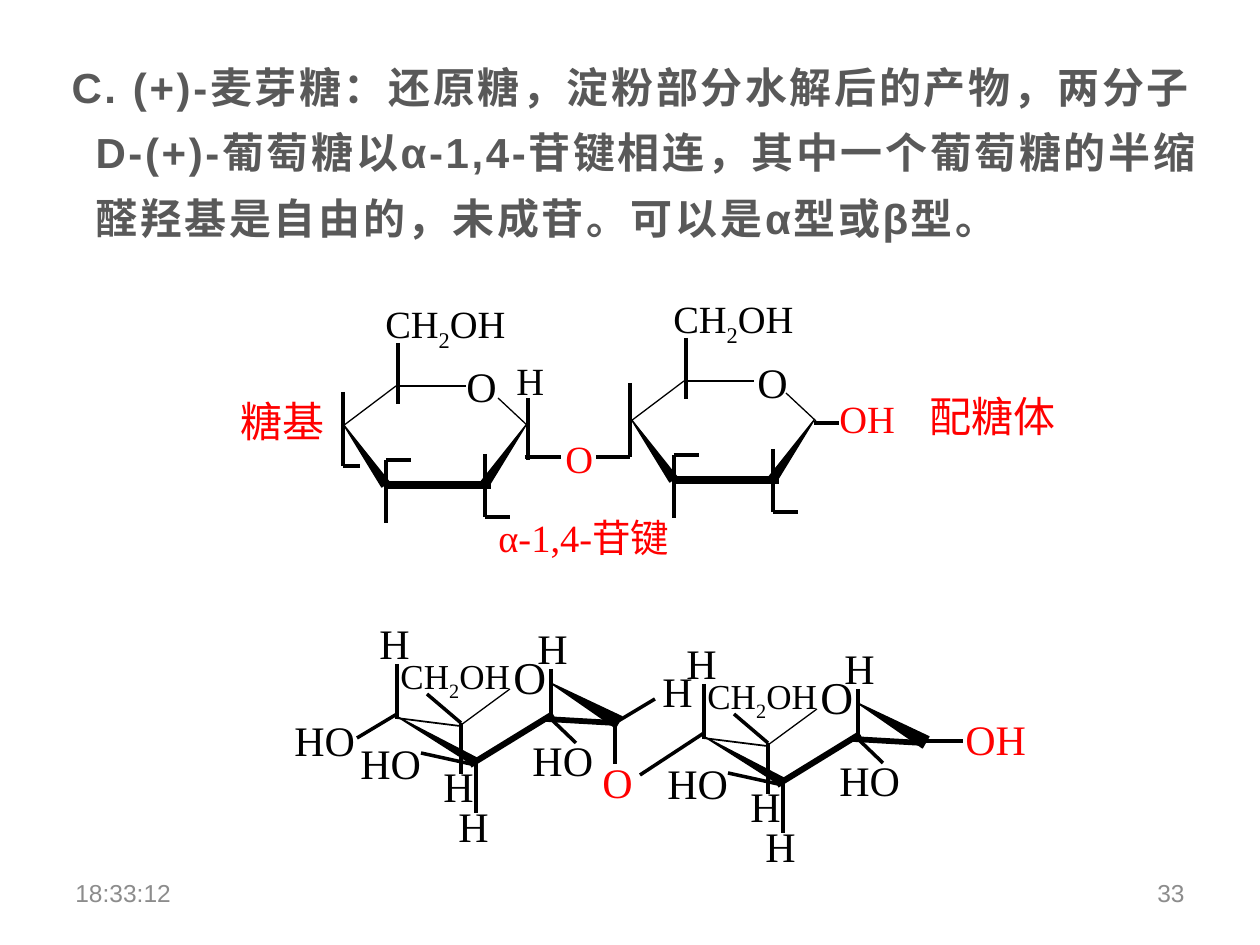
from dataclasses import dataclass

from lxml.etree import SubElement
from pptx import Presentation
from pptx.dml.color import RGBColor
from pptx.enum.shapes import MSO_CONNECTOR, MSO_SHAPE
from pptx.enum.text import MSO_ANCHOR, MSO_AUTO_SIZE, PP_ALIGN
from pptx.oxml.ns import qn
from pptx.util import Emu, Pt


@dataclass(frozen=True)
class Theme:
    """Colours, fonts and sizes of the slide."""
    ink: str = "000000"
    accent: str = "FF0000"
    body: str = "595959"
    footer: str = "8C8C8C"
    sans: str = "Arial"
    serif: str = "Times New Roman"
    footer_size: int = 14
    small: int = 20
    medium: int = 22
    large: int = 24
    ring: int = 26
    hairline: float = 0.75
    thin: float = 1
    bond: float = 2


THEME = Theme()


def px(length):
    """Turn pixels at 126 to the inch into EMU."""
    return Emu(round(length * 914400 / 126))


def write(frame, text, *, size, color, font, bold=False, align=PP_ALIGN.LEFT,
          spacing=1.0, after=0, tracking=0):
    """Write one paragraph, with subscripts between underscores."""
    paragraph = frame.paragraphs[0]
    paragraph.alignment = align
    paragraph.line_spacing = spacing
    paragraph.space_before = Pt(0)
    paragraph.space_after = Pt(after)
    for index, piece in enumerate(text.split("_")):
        run = paragraph.add_run()
        run.text = piece
        run.font.size = Pt(size)
        run.font.name = font
        run.font.bold = bold
        run.font.color.rgb = RGBColor.from_string(color)
        properties = run._r.get_or_add_rPr()
        if index % 2:
            properties.set("baseline", "-25000")
        if tracking:
            properties.set("spc", str(tracking))
    return paragraph


class Canvas:
    """The theme and the current slide."""

    def __init__(self, slide, theme):
        """Keep the slide and its theme."""
        self.slide = slide
        self.theme = theme

    def body(self, text, left, top, width, height, indent):
        """Fill the body placeholder with a hanging paragraph."""
        self.slide.shapes.title._element.getparent().remove(self.slide.shapes.title._element)
        shape = self.slide.placeholders[1]
        shape.left, shape.top, shape.width, shape.height = map(px, (left, top, width, height))
        frame = shape.text_frame
        frame.word_wrap = True
        frame.auto_size = MSO_AUTO_SIZE.NONE
        paragraph = write(frame, text, size=self.theme.large, color=self.theme.body,
                          font=self.theme.sans, bold=True, spacing=1.3, after=10, tracking=150)
        properties = paragraph._p.get_or_add_pPr()
        properties.set("marL", str(px(indent)))
        properties.set("indent", str(-px(indent)))
        SubElement(properties, qn("a:buNone"))

    def text(self, left, top, width, height, text, **style):
        """Add a wrapping text box."""
        box = self.slide.shapes.add_textbox(px(left), px(top), px(width), px(height))
        box.text_frame.word_wrap = True
        write(box.text_frame, text, **style)
        return box

    def label(self, left, top, width, text, size=THEME.large, color=THEME.ink):
        """Add an atom, group or name label."""
        box = self.text(left, top, width, size * 2.2, text, size=size, color=color,
                        font=self.theme.serif, spacing=0.8)
        box.text_frame.auto_size = MSO_AUTO_SIZE.SHAPE_TO_FIT_TEXT

    def footer(self, left, text, align):
        """Add a footer text."""
        box = self.text(left, 871, 280, 44, text, size=self.theme.footer_size,
                        color=self.theme.footer, font=self.theme.sans, align=align)
        box.text_frame.vertical_anchor = MSO_ANCHOR.MIDDLE

    def bond(self, x1, y1, x2, y2, weight=THEME.bond):
        """Draw a straight bond."""
        line = self.slide.shapes.add_connector(MSO_CONNECTOR.STRAIGHT, *map(px, (x1, y1, x2, y2)))
        line.line.color.rgb = RGBColor.from_string(self.theme.ink)
        line.line.width = Pt(weight)
        SubElement(line._element.spPr, qn("a:effectLst"))

    def wedge(self, left, top, width, height, rotation):
        """Draw a tapered bond."""
        shape = self.slide.shapes.add_shape(MSO_SHAPE.ISOSCELES_TRIANGLE,
                                            *map(px, (left, top, width, height)))
        shape.rotation = rotation
        shape.shadow.inherit = False
        shape.fill.solid()
        shape.fill.fore_color.rgb = RGBColor.from_string(self.theme.ink)
        shape.line.color.rgb = RGBColor.from_string(self.theme.ink)
        shape.line.width = Pt(self.theme.hairline)

    def unit(self, dx, dy, wedges, bonds, labels):
        """Draw the parts of one sugar ring, moved by dx and dy."""
        for left, top, *rest in wedges:
            self.wedge(left + dx, top + dy, *rest)
        for x1, y1, x2, y2, *weight in bonds:
            self.bond(x1 + dx, y1 + dy, x2 + dx, y2 + dy, *weight)
        for left, top, *rest in labels:
            self.label(left + dx, top + dy, *rest)


HAWORTH_RING = dict(
    wedges=[(360, 418, 9, 73, 325), (501, 418, 9, 73, 35)],
    bonds=[(343, 426, 396, 386, THEME.hairline), (528, 426, 498, 398, THEME.hairline),
           (396, 386, 466, 386, THEME.thin), (386, 485, 491, 485, 4.5),
           (398, 343, 398, 404), (386, 460, 386, 523), (386, 460, 411, 460),
           (485, 454, 485, 517), (485, 517, 510, 517)],
    labels=[(373, 299, 149, "CH_2_OH", THEME.medium)])

HAWORTH_LINK = dict(
    wedges=[],
    bonds=[(343, 392, 343, 466), (343, 466, 360, 466), (528, 398, 528, 460),
           (525, 457, 561, 457), (596, 457, 630, 457), (630, 383, 630, 457),
           (814, 423, 839, 423)],
    labels=[(454, 364, 49, "O"), (745, 360, 49, "O"), (504, 360, 49, "H", THEME.medium),
            (553, 438, 57, "O", THEME.medium, THEME.accent),
            (827, 398, 87, "OH", THEME.medium, THEME.accent),
            (486, 517, 208, "α-1,4-苷键", THEME.medium, THEME.accent),
            (228, 399, 129, "糖基", THEME.large, THEME.accent),
            (917, 394, 159, "配糖体", THEME.large, THEME.accent)])

CHAIR_RING = dict(
    wedges=[(578, 663, 13, 79, 300), (433, 694, 8, 91, 300)],
    bonds=[(510, 689, 461, 725, THEME.hairline), (396, 718, 460, 726, THEME.thin),
           (470, 765, 553, 714, 3.5), (615, 723, 546, 719, 3.25),
           (397, 664, 397, 719), (551, 669, 551, 719), (476, 764, 476, 813),
           (461, 723, 461, 774), (551, 719, 576, 743), (461, 723, 427, 694),
           (471, 764, 421, 753)],
    labels=[(501, 653, 55, "O", THEME.ring), (388, 653, 142, "CH_2_OH", THEME.small),
            (431, 764, 59, "H"), (367, 621, 59, "H"), (446, 804, 59, "H"),
            (525, 626, 59, "H"), (348, 741, 95, "HO"), (520, 738, 95, "HO")])

CHAIR_LINK = dict(
    wedges=[],
    bonds=[(615, 723, 615, 764), (615, 723, 655, 699), (357, 738, 397, 714),
           (640, 775, 704, 733), (922, 741, 963, 741)],
    labels=[(650, 669, 59, "H"), (282, 718, 95, "HO"),
            (590, 760, 54, "O", THEME.large, THEME.accent),
            (953, 717, 95, "OH", THEME.large, THEME.accent)])


def main():
    """Build the maltose slide."""
    presentation = Presentation()
    presentation.slide_width, presentation.slide_height = px(1260), px(945)
    canvas = Canvas(presentation.slides.add_slide(presentation.slide_layouts[1]), THEME)
    canvas.body("C. (+)-麦芽糖：还原糖，淀粉部分水解后的产物，两分子D-(+)-葡萄糖以α-1,4-苷键相连，"
                "其中一个葡萄糖的半缩醛羟基是自由的，未成苷。可以是α型或β型。", 59, 40, 1153, 267, 24)
    for ring, link, dx, dy in ((HAWORTH_RING, HAWORTH_LINK, 288, -5),
                               (CHAIR_RING, CHAIR_LINK, 307, 20)):
        canvas.unit(0, 0, **ring)
        canvas.unit(dx, dy, **ring)
        canvas.unit(0, 0, **link)
    canvas.footer(63, "18:33:12", PP_ALIGN.LEFT)
    canvas.footer(917, "33", PP_ALIGN.RIGHT)
    presentation.save("out.pptx")


if __name__ == "__main__":
    main()
